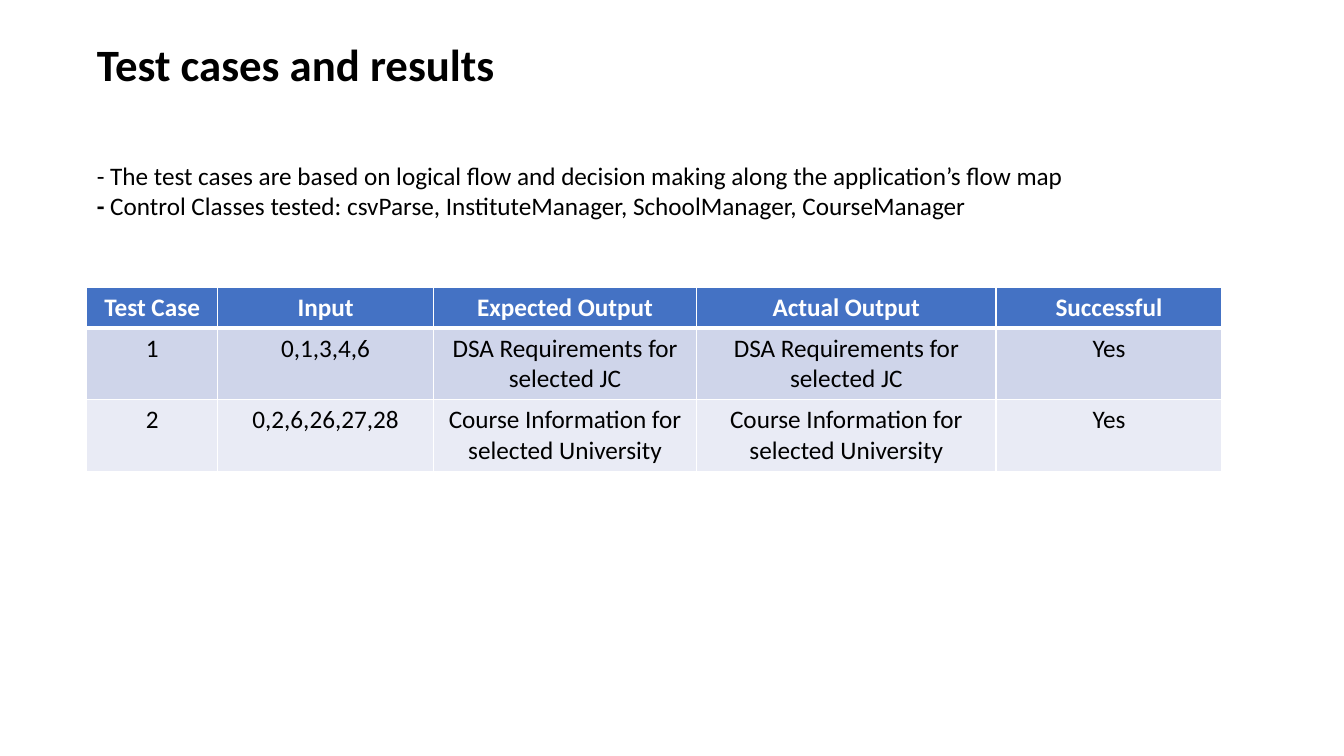
import pptx
import pptx.util
import pptx.dml.color
import pptx.enum.text
import pptx.oxml
import pptx.oxml.ns

COLORS = {
    "text": "000000",
    "white": "FFFFFF",
    "header": "4472C4",
    "odd_row": "CFD5EA",
    "even_row": "E9EBF5",
}

presentation = pptx.Presentation()
presentation.slide_width = pptx.util.Inches(13.33)
presentation.slide_height = pptx.util.Inches(7.5)
slide = presentation.slides.add_slide(presentation.slide_layouts[1])

LEFT = pptx.util.Inches(0.86)
TEXT_WIDTH = pptx.util.Inches(10.25)


def format_run(run, size, color, bold):
    values = {"name": "Calibri", "size": pptx.util.Pt(size), "bold": bold}
    for attribute, value in values.items():
        setattr(run.font, attribute, value)
    run.font.color.rgb = pptx.dml.color.RGBColor.from_string(COLORS[color])


text_blocks = [
    (slide.shapes.title, 0.31, 0.64, 32, [[("Test cases and results", True)]]),
    (slide.placeholders[1], 1.54, 1.01, 18, [
        [("- The test cases are based on logical flow and decision making along the application’s flow map", False)],
        [("- ", True), ("Control Classes tested: csvParse, InstituteManager, SchoolManager, CourseManager", False)],
    ]),
]

for shape, top, height, size, lines in text_blocks:
    placement = {
        "left": LEFT,
        "top": pptx.util.Inches(top),
        "width": TEXT_WIDTH,
        "height": pptx.util.Inches(height),
    }
    for attribute, value in placement.items():
        setattr(shape, attribute, value)
    frame_format = {
        "word_wrap": True,
        "auto_size": pptx.enum.text.MSO_AUTO_SIZE.NONE,
        "vertical_anchor": pptx.enum.text.MSO_ANCHOR.TOP,
    }
    for attribute, value in frame_format.items():
        setattr(shape.text_frame, attribute, value)
    for index, line in enumerate(lines):
        paragraph = shape.text_frame.add_paragraph() if index else shape.text_frame.paragraphs[0]
        paragraph.alignment = pptx.enum.text.PP_ALIGN.LEFT
        paragraph.space_before = pptx.util.Pt(0)
        properties = paragraph._p.get_or_add_pPr()
        properties.set("marL", "0")
        properties.set("indent", "0")
        properties.append(pptx.oxml.parse_xml(f'<a:buNone {pptx.oxml.ns.nsdecls("a")}/>'))
        for text, bold in line:
            run = paragraph.add_run()
            run.text = text
            format_run(run, size, "text", bold)

rows = [
    ["Test Case", "Input", "Expected Output", "Actual Output", "Successful"],
    ["1", "0,1,3,4,6", *["DSA Requirements for selected JC"] * 2, "Yes"],
    ["2", "0,2,6,26,27,28", *["Course Information for selected University"] * 2, "Yes"],
]
column_widths = [1.3, 2.14, 2.61, 2.97, 2.24]
row_heights = [0.39, 0.71, 0.71]
row_fills = ["header", "odd_row", "even_row"]

table = slide.shapes.add_table(
    len(rows), len(column_widths), LEFT, pptx.util.Inches(2.85),
    pptx.util.Inches(sum(column_widths)), pptx.util.Inches(sum(row_heights)),
).table

for column, width in zip(table.columns, column_widths):
    column.width = pptx.util.Inches(width)

for row_index, row_texts in enumerate(rows):
    table.rows[row_index].height = pptx.util.Inches(row_heights[row_index])
    is_header = row_index == 0
    border_widths = {"L": 1, "R": 1, "T": 3 if row_index == 1 else 1, "B": 3 if is_header else 1}
    for column_index, text in enumerate(row_texts):
        cell = table.cell(row_index, column_index)
        cell_properties = cell._tc.get_or_add_tcPr()
        for side, width in border_widths.items():
            cell_properties.append(pptx.oxml.parse_xml(
                f'<a:ln{side} {pptx.oxml.ns.nsdecls("a")} w="{pptx.util.Pt(width)}">'
                f'<a:solidFill><a:srgbClr val="{COLORS["white"]}"/></a:solidFill></a:ln{side}>'
            ))
        cell.fill.solid()
        cell.fill.fore_color.rgb = pptx.dml.color.RGBColor.from_string(COLORS[row_fills[row_index]])
        paragraph = cell.text_frame.paragraphs[0]
        paragraph.alignment = pptx.enum.text.PP_ALIGN.CENTER
        run = paragraph.add_run()
        run.text = text
        format_run(run, 18, "white" if is_header else "text", is_header)

presentation.save("out.pptx")
